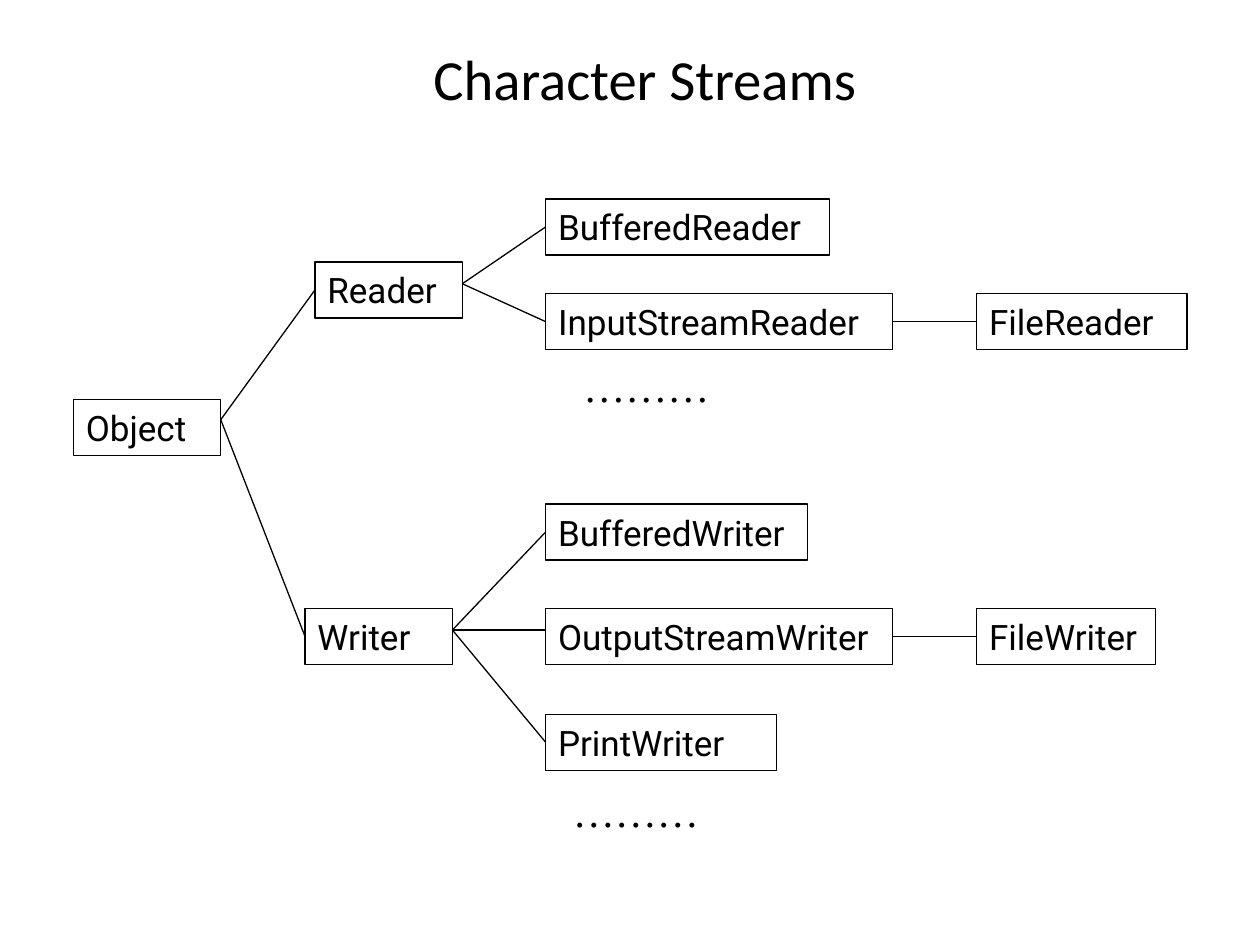
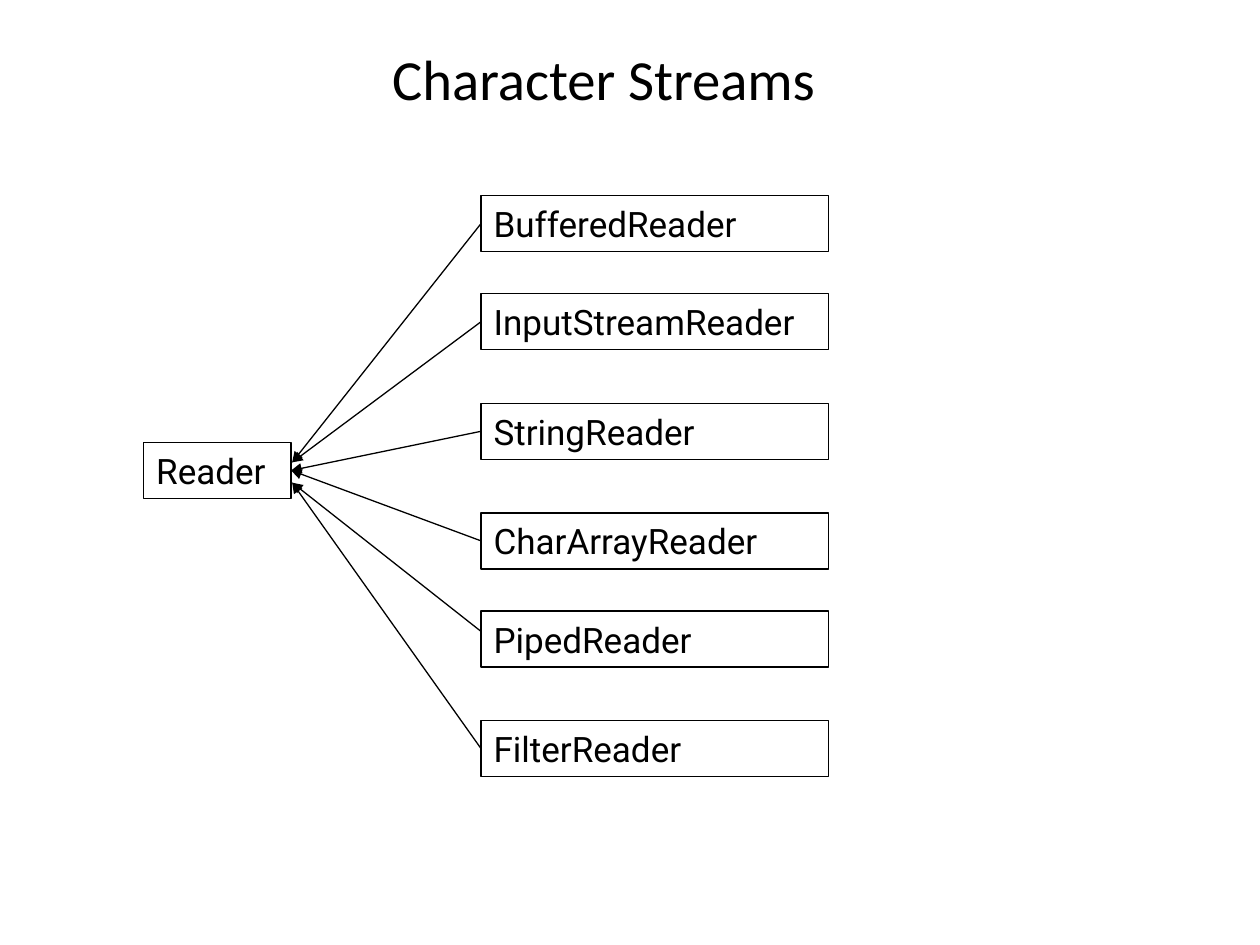
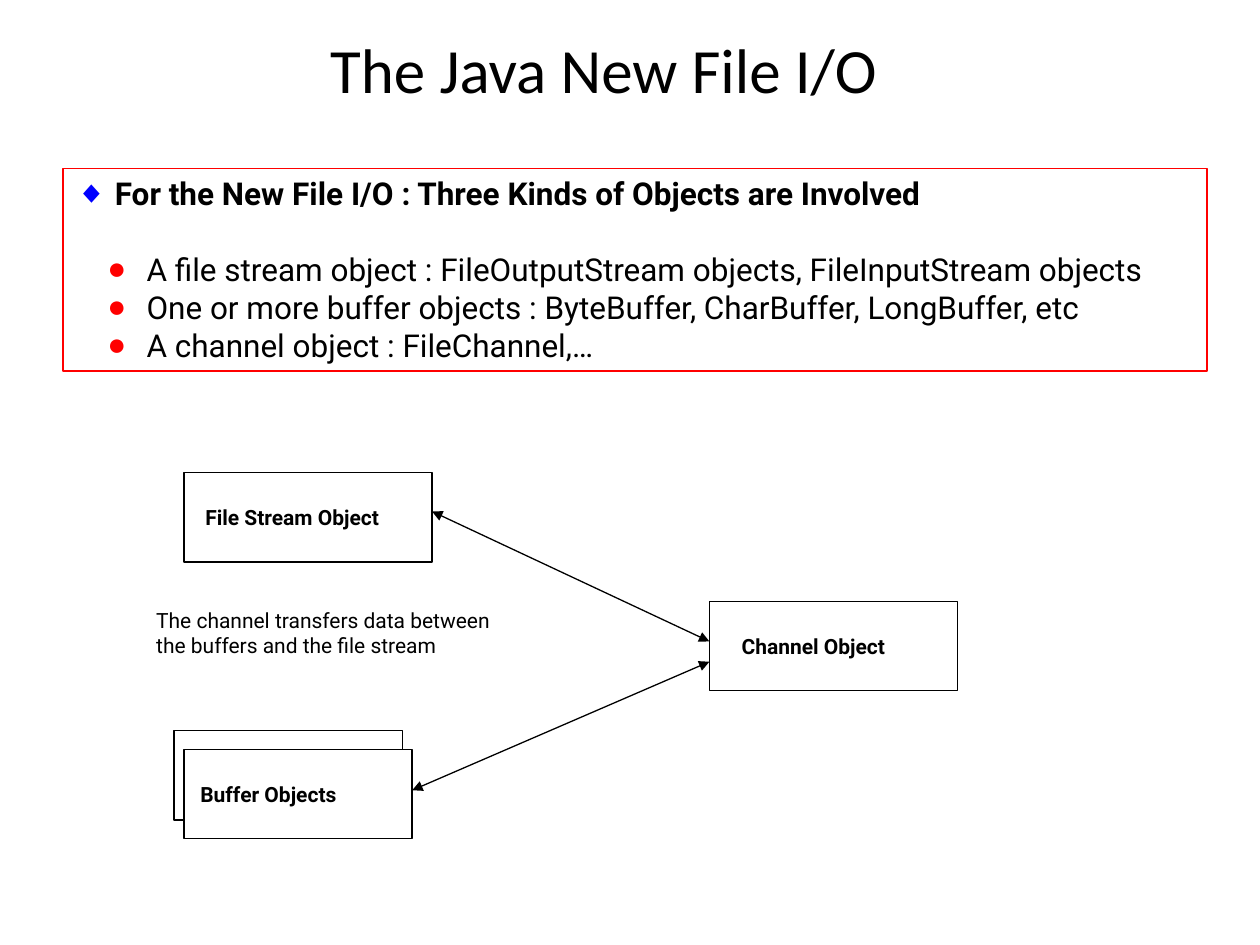
from collections import namedtuple

from lxml import etree
from pptx import Presentation
from pptx.dml.color import RGBColor
from pptx.enum.shapes import MSO_CONNECTOR, MSO_SHAPE
from pptx.enum.text import MSO_ANCHOR, MSO_AUTO_SIZE, PP_ALIGN
from pptx.oxml.ns import qn
from pptx.util import Cm, Pt

COLORS = {"text": "000000", "paper": "FFFFFF", "frame": "FF0000",
          "diamond": "0000FF", "dot": "FF0000"}
TITLE_FONT, BODY_FONT, DOTS_FONT = "Calibri", "Roboto", "Times New Roman"
CENTER, LEFT_ALIGN = PP_ALIGN.CENTER, PP_ALIGN.LEFT
TOP, MIDDLE = MSO_ANCHOR.TOP, MSO_ANCHOR.MIDDLE
NO_AUTOFIT = MSO_AUTO_SIZE.NONE
RECTANGLE, STRAIGHT = MSO_SHAPE.RECTANGLE, MSO_CONNECTOR.STRAIGHT
LEFT, RIGHT = 1, 3
TITLE_AND_BODY, TITLE_ONLY = 1, 5

CLASS_HEIGHT = 1.13
ROOT_WIDTH = 2.97

Joint = namedtuple("Joint", "shape side")


def rgb(name):
    return RGBColor.from_string(COLORS[name])


def write(paragraph, text, size=20, font=BODY_FONT, bold=False, align=LEFT_ALIGN):
    paragraph.alignment = align
    run = paragraph.add_run()
    run.text = text
    run.font.name = font
    run.font.size = Pt(size)
    run.font.bold = bold
    run.font.color.rgb = rgb("text")


def set_bullet(paragraph, character, color, margin, hanging):
    properties = paragraph._p.get_or_add_pPr()
    properties.set("marL", str(Cm(margin)))
    properties.set("indent", str(-Cm(hanging)))
    bullet_color = etree.SubElement(properties, qn("a:buClr"))
    etree.SubElement(bullet_color, qn("a:srgbClr"), val=COLORS[color])
    etree.SubElement(properties, qn("a:buChar"), char=character)


class Deck:
    """Holds the shared style and the current slide; lengths are in centimetres."""

    def __init__(self):
        self.presentation = Presentation()
        self.presentation.slide_width = Cm(25.4)
        self.presentation.slide_height = Cm(19.05)
        self.slide = None

    def new_slide(self, title, left, top, width, size=32.4, layout=TITLE_ONLY):
        layouts = self.presentation.slide_layouts
        self.slide = self.presentation.slides.add_slide(layouts[layout])
        frame = self.place(self.slide.shapes.title, left, top, width, 1.47, MIDDLE)
        write(frame.paragraphs[0], title, size, TITLE_FONT, align=CENTER)

    def place(self, shape, left, top, width, height, anchor=TOP):
        """Move a shape and return its text frame, wrapped and of fixed size."""
        shape.left, shape.top = Cm(left), Cm(top)
        shape.width, shape.height = Cm(width), Cm(height)
        frame = shape.text_frame
        frame.word_wrap = True
        frame.auto_size = NO_AUTOFIT
        frame.vertical_anchor = anchor
        return frame

    def outline(self, shape, color="text"):
        shape.line.color.rgb = rgb(color)
        shape.line.width = Pt(0.75)

    def box(self, text, left, top, width, height=CLASS_HEIGHT, inset=0.25,
            filled=False, **text_format):
        shape = self.slide.shapes.add_shape(
            RECTANGLE, Cm(left), Cm(top), Cm(width), Cm(height))
        shape.shadow.inherit = False
        if filled:
            shape.fill.solid()
            shape.fill.fore_color.rgb = rgb("paper")
        else:
            shape.fill.background()
        self.outline(shape)
        if text:
            frame = self.place(shape, left, top, width, height, MIDDLE)
            frame.margin_left = Cm(inset)
            write(frame.paragraphs[0], text, **text_format)
        return shape

    def label(self, text, left, top, width, height, **text_format):
        shape = self.slide.shapes.add_textbox(0, 0, 0, 0)
        frame = self.place(shape, left, top, width, height)
        write(frame.paragraphs[0], text, **text_format)

    def line(self, start, end, arrows=()):
        """Connect two ends, each a Joint or an (x, y) point."""
        points = [(0, 0) if isinstance(e, Joint) else e for e in (start, end)]
        connector = self.slide.shapes.add_connector(
            STRAIGHT, *(Cm(value) for point in points for value in point))
        if isinstance(start, Joint):
            connector.begin_connect(*start)
        if isinstance(end, Joint):
            connector.end_connect(*end)
        self.outline(connector)
        for arrow in arrows:
            etree.SubElement(connector.line._get_or_add_ln(), qn(f"a:{arrow}"),
                             type="triangle")
        etree.SubElement(connector._element.spPr, qn("a:effectLst"))

    def framed_list(self, heading, items, left, top, width, height):
        body = self.slide.placeholders[1]
        frame = self.place(body, left, top, width, height)
        self.outline(body, "frame")
        for index, text in enumerate([heading, *items]):
            is_heading = index == 0
            paragraph = frame.paragraphs[0] if is_heading else frame.add_paragraph()
            if is_heading:
                set_bullet(paragraph, "◆", "diamond", 0.79, 0.79)
            else:
                paragraph.level = 1
                set_bullet(paragraph, "●", "dot", 1.43, 0.79)
            paragraph.space_before = Pt(21.6 if index == 1 else 0)
            write(paragraph, text, 18, bold=is_heading)


def build_class_tree(deck):
    deck.new_slide("Character Streams", 4.01, 0.84, 17.98)
    child_left, file_left = 11, 19.69
    deck.box("Object", 1.48, 8.05, ROOT_WIDTH)
    object_exit = (4.45, 8.46)
    branches = [
        ("Reader", 6.35, 5.28, 5.72,
         [("BufferedReader", 4.01, 5.72), ("InputStreamReader", 5.92, 6.99)],
         ("FileReader", 4.24)),
        ("Writer", 6.15, 12.27, 12.7,
         [("BufferedWriter", 10.16, 5.28), ("PrintWriter", 14.4, 4.65),
          ("OutputStreamWriter", 12.27, 6.99)],
         ("FileWriter", 3.61)),
    ]
    for name, left, top, exit_y, children, (file_name, file_width) in branches:
        parent = deck.box(name, left, top, ROOT_WIDTH)
        deck.line(object_exit, Joint(parent, LEFT))
        parent_exit = (left + ROOT_WIDTH, exit_y)
        for child_name, child_top, child_width in children:
            child = deck.box(child_name, child_left, child_top, child_width)
            level = child_top == top
            deck.line(parent_exit,
                      (child_left, exit_y) if level else Joint(child, LEFT))
        # The last child is the stream bridge that the file class extends.
        file_class = deck.box(file_name, file_left, child_top, file_width)
        deck.line(Joint(child, RIGHT), Joint(file_class, LEFT))
    for left, top, width in [(11.51, 7.14, 5), (11.3, 15.72, 4.8)]:
        deck.label("………", left, top, width, 1.27, size=24, font=DOTS_FONT)


def build_reader_family(deck):
    deck.new_slide("Character Streams", 3.38, 0.84, 17.58)
    reader = deck.box("Reader", 2.9, 8.92, ROOT_WIDTH)
    middle, upper, lower = Joint(reader, RIGHT), (5.89, 9.32), (5.89, 9.73)
    child_left = 9.7
    for name, top, target in [
            ("BufferedReader", 3.94, upper), ("InputStreamReader", 5.92, upper),
            ("StringReader", 8.13, middle), ("CharArrayReader", 10.34, middle),
            ("PipedReader", 12.32, lower), ("FilterReader", 14.53, lower)]:
        child = deck.box(name, child_left, top, 7)
        source = (child_left, 12.73) if name == "PipedReader" else Joint(child, LEFT)
        deck.line(target, source, arrows=["headEnd"])


def build_new_file_io(deck):
    deck.new_slide("The Java New File I/O", 3.18, 0.64, 17.98, 36, TITLE_AND_BODY)
    deck.framed_list(
        "For the New File I/O : Three Kinds of Objects are Involved",
        ["A file stream object : FileOutputStream objects, FileInputStream objects",
         "One or more buffer objects : ByteBuffer, CharBuffer, LongBuffer, etc",
         "A channel object : FileChannel,…"],
        1.27, 3.39, 23.06, 4.09)
    for text, left, top, width, inset, filled in [
            ("File Stream Object", 3.71, 9.53, 5, 0.43, False),
            ("", 3.51, 14.73, 4.6, 0, False),
            ("Buffer Objects", 3.71, 15.11, 4.6, 0.33, True),
            ("Channel Object", 14.3, 12.12, 5, 0.65, False)]:
        deck.box(text, left, top, width, 1.8, inset, filled, size=12, bold=True)
    for start, end in [((8.71, 10.31), (14.3, 12.93)),
                       ((8.31, 15.93), (14.3, 13.34))]:
        deck.line(start, end, arrows=["headEnd", "tailEnd"])
    deck.label("The channel transfers data between the buffers and the file stream",
               2.9, 12.12, 7.39, 1.78, size=12)


def main():
    deck = Deck()
    build_class_tree(deck)
    build_reader_family(deck)
    build_new_file_io(deck)
    deck.presentation.save("out.pptx")


if __name__ == "__main__":
    main()
